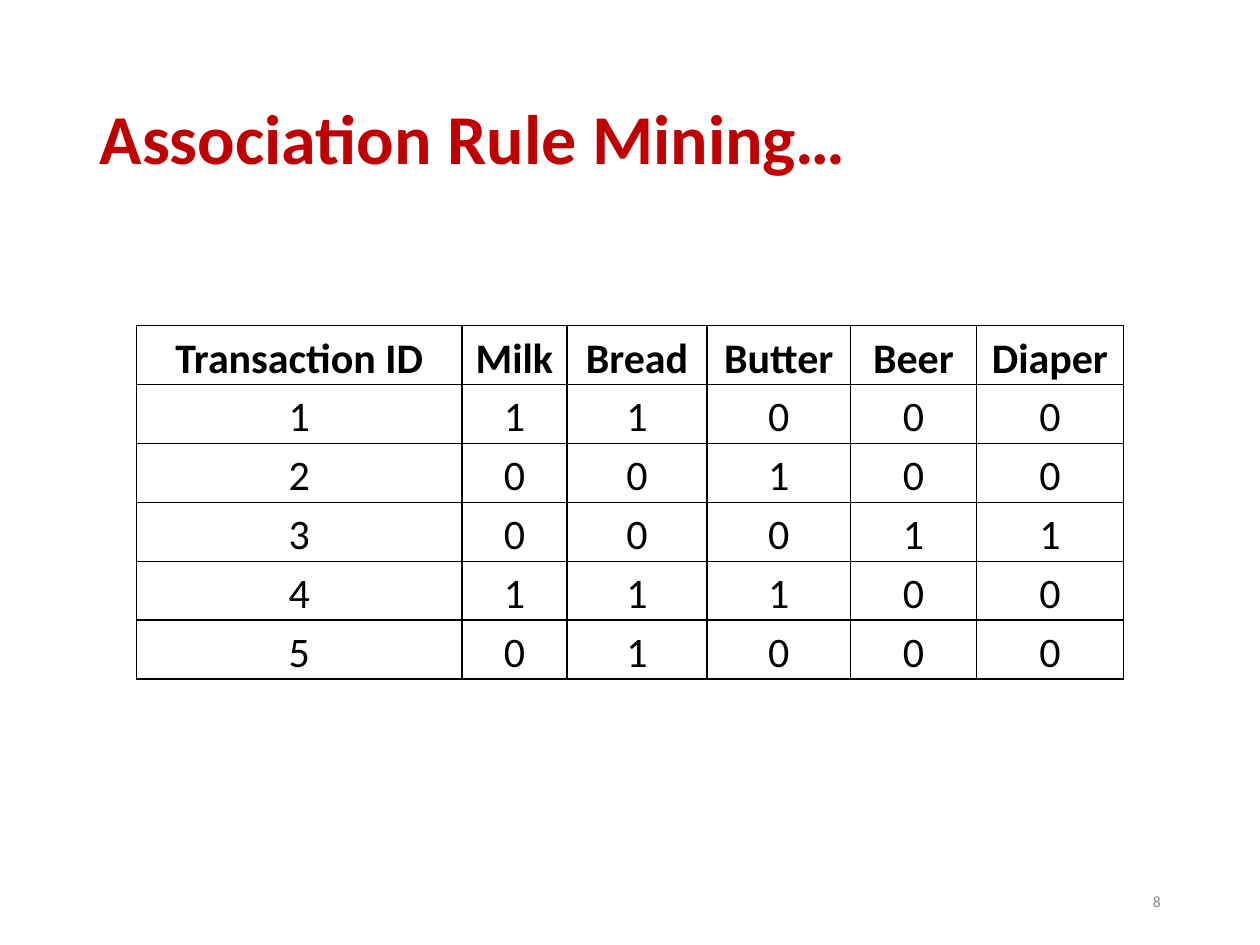
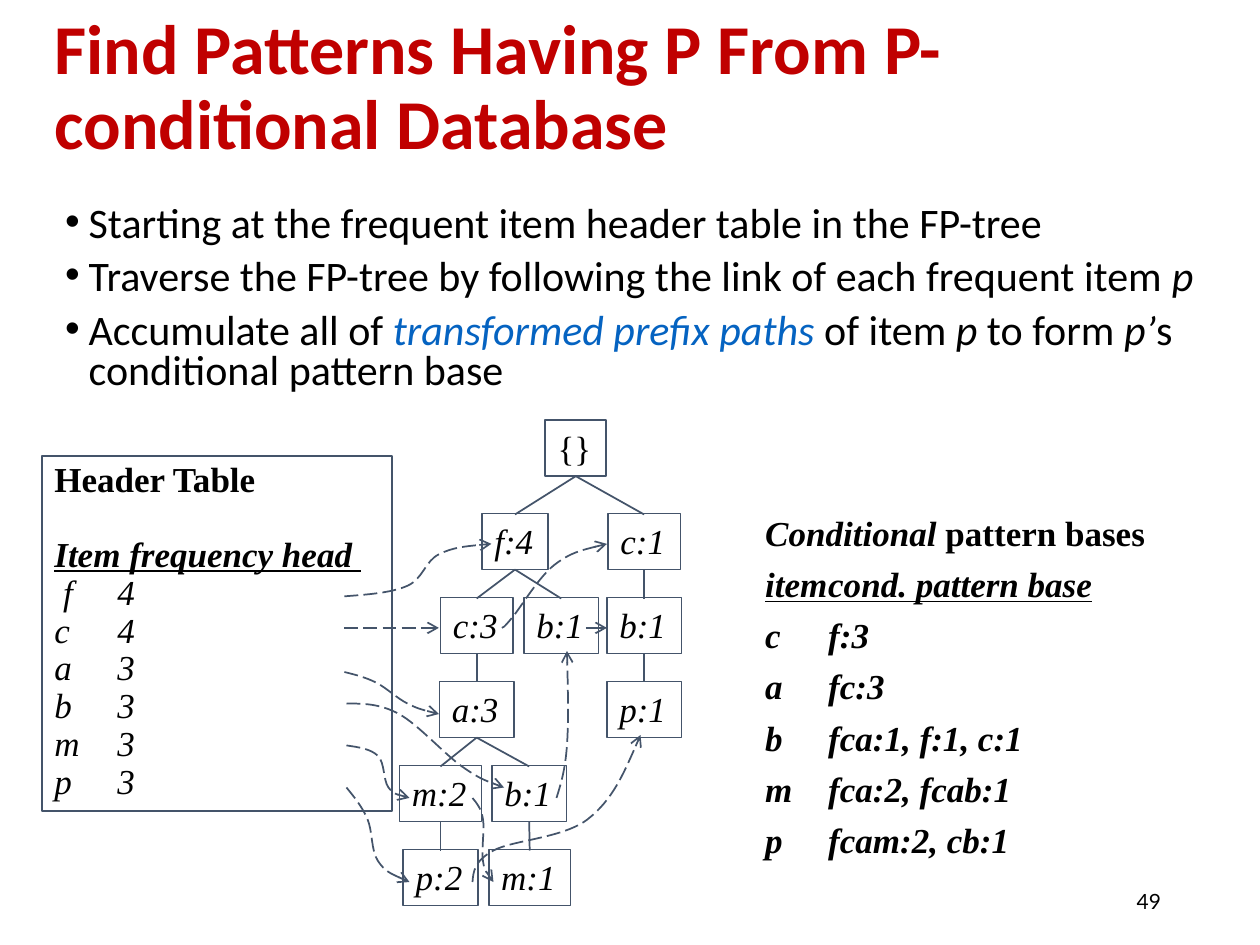
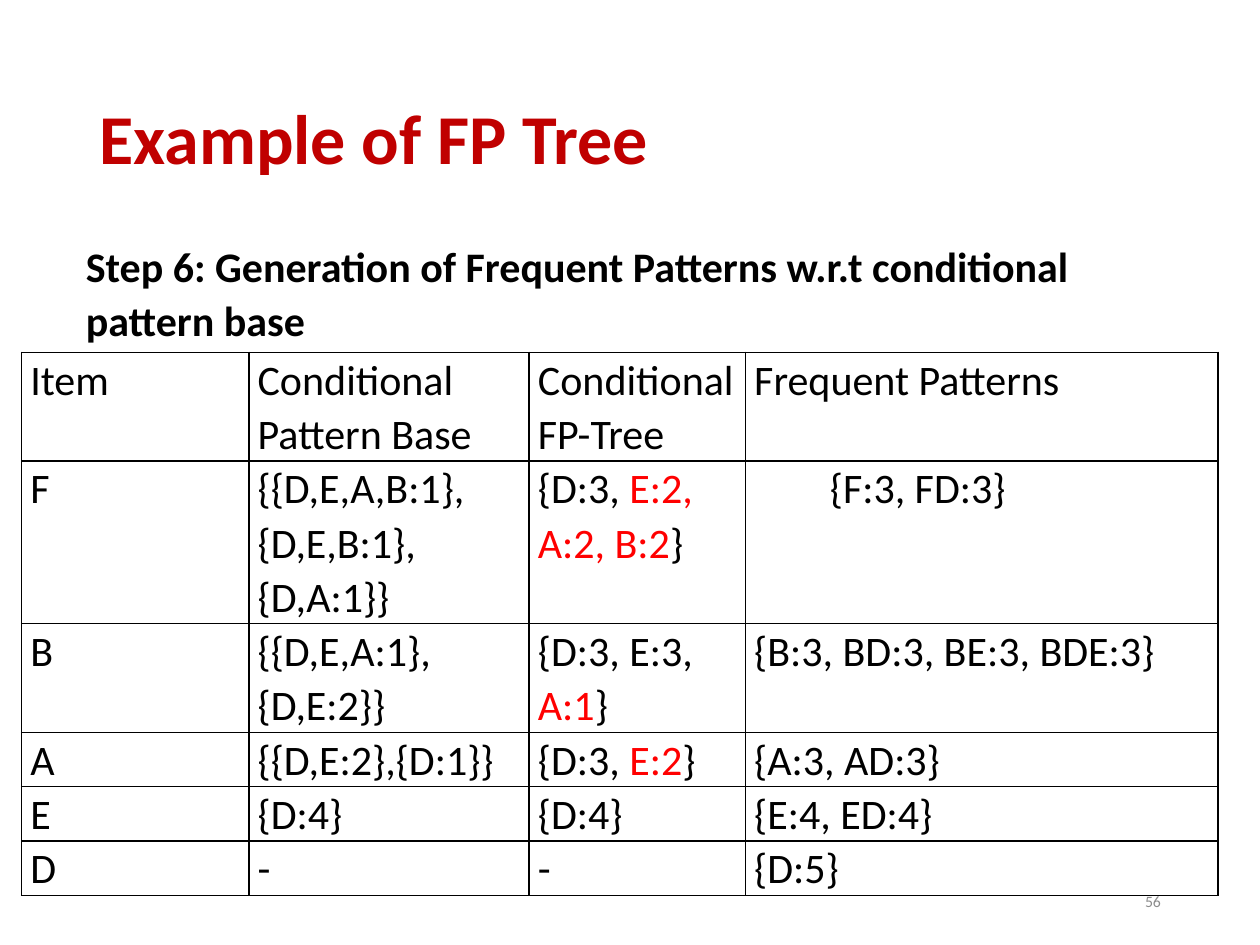
from dataclasses import dataclass
from typing import Optional

from lxml import etree
from pptx import Presentation
from pptx.dml.color import RGBColor
from pptx.enum.dml import MSO_LINE
from pptx.enum.shapes import MSO_CONNECTOR, MSO_SHAPE
from pptx.enum.text import MSO_ANCHOR, MSO_AUTO_SIZE, PP_ALIGN
from pptx.oxml.ns import qn
from pptx.util import Inches, Pt

LEFT, CENTER, RIGHT = PP_ALIGN.LEFT, PP_ALIGN.CENTER, PP_ALIGN.RIGHT
TOP, MIDDLE = MSO_ANCHOR.TOP, MSO_ANCHOR.MIDDLE
NO_AUTOFIT = MSO_AUTO_SIZE.NONE
RECTANGLE = MSO_SHAPE.RECTANGLE
STRAIGHT = MSO_CONNECTOR.STRAIGHT
LONG_DASH = MSO_LINE.LONG_DASH

SLIDE_WIDTH, SLIDE_HEIGHT = Inches(10), Inches(7.5)
GRID_COLUMNS = 120
CONTENT_LAYOUT, TITLE_LAYOUT = 1, 5


@dataclass(frozen=True)
class Theme:
    title: str = "C00000"
    text: str = "000000"
    muted: str = "8C8C8C"
    link: str = "0563C1"
    removed: str = "FF0000"
    outline: str = "44546A"
    sans: str = "Calibri"
    serif: str = "Times New Roman"
    number: str = "Lato"
    title_size: float = 40
    body_size: float = 24
    tree_size: float = 20
    number_size: float = 12
    small_number_size: float = 9
    line_width: float = 1


THEME = Theme()


@dataclass(frozen=True)
class Frame:
    left: float
    top: float
    width: float
    height: float

    def lengths(self) -> tuple:
        return tuple(grid(v) for v in (self.left, self.top, self.width, self.height))


@dataclass(frozen=True)
class Style:
    font: str = THEME.sans
    size: float = THEME.body_size
    color: str = THEME.text
    bold: bool = False
    italic: bool = False


@dataclass(frozen=True)
class Span:
    text: str
    bold: Optional[bool] = None
    italic: Optional[bool] = None
    underline: bool = False
    color: Optional[str] = None


@dataclass(frozen=True)
class Layout:
    align: object = LEFT
    line_spacing: float = 1.0
    before: float = 0
    after: float = 0
    margin: float = 0
    hanging: float = 0
    tab: float = 0


@dataclass(frozen=True)
class Node:
    label: str
    center: float
    top: float
    parent: Optional[int] = None


@dataclass(frozen=True)
class TableSpec:
    left: float
    top: float
    columns: tuple
    row_height: float
    layout: Layout
    bold_header: bool = False


TITLE_STYLE = Style(size=THEME.title_size, color=THEME.title, bold=True)
BODY_STYLE = Style()
MUTED_NUMBER = Style(size=THEME.small_number_size, color=THEME.muted)
DARK_NUMBER = Style(font=THEME.number, size=THEME.number_size)
TREE_STYLE = Style(font=THEME.serif, size=THEME.tree_size)

TITLE_FRAME = Frame(8.3, 4.8, 103.4, 17.4)
HIGH_TITLE_FRAME = Frame(4, 4, 112, 9)
BODY_FRAME = Frame(5, 19, 110, 20)
NUMBER_FRAME = Frame(84.75, 83.4, 27, 4.8)
HEADER_TABLE_FRAME = Frame(4, 43.4, 33.35, 33.85)
PATTERN_FRAME = Frame(71.7, 48.1, 43.7, 36.5)
STEP_FRAME = Frame(7, 22, 109, 11.6)
TAB_STOP = 12

LEVEL_TOPS = (40,) + tuple(48.9 + 8 * level for level in range(5))
NODE_HEIGHT = 5.35
NODE_WIDTHS = {"{": 5.8, "f": 6.3, "c": 6.9, "a": 7.1, "b": 7.1, "p": 7.1, "m": 7.8}
NODES = (
    Node("{}", 54.84, LEVEL_TOPS[0]),
    Node("f:4", 49.05, LEVEL_TOPS[1], 0),
    Node("c:1", 61.35, LEVEL_TOPS[1], 0),
    Node("c:3", 45.4, LEVEL_TOPS[2], 1),
    Node("b:1", 53.45, LEVEL_TOPS[2], 1),
    Node("b:1", 61.35, LEVEL_TOPS[2], 2),
    Node("a:3", 45.4, LEVEL_TOPS[3], 3),
    Node("p:1", 61.35, LEVEL_TOPS[3], 5),
    Node("m:2", 41.95, LEVEL_TOPS[4], 6),
    Node("b:1", 50.4, LEVEL_TOPS[4], 6),
    Node("p:2", 41.95, LEVEL_TOPS[5], 8),
    Node("m:1", 50.45, LEVEL_TOPS[5], 9),
)
NODE_LINKS = (
    ((32.8, 56.8), (38.8, 55.8), (41.8, 52.8), (46.8, 51.8)),
    ((32.8, 59.8), (41.8, 59.8)),
    ((47.8, 59.8), (48.8, 58.8), (52.8, 53.8), (57.8, 51.8)),
    ((32.8, 64), (35.8, 65), (38.8, 67), (41.8, 68)),
    ((33, 67), (38, 68), (44, 73), (48, 75)),
    ((53, 76), (54, 71), (54, 62)),
    ((55.8, 59.8), (57.8, 59.8)),
    ((33, 71), (36, 72), (37, 75), (39, 76)),
    ((45, 76), (46, 78), (46, 82), (47, 84)),
    ((33, 75), (35, 78), (36, 82), (39, 84)),
    ((45, 84), (47, 81), (56, 78), (61, 70)),
)


def grid(units: float) -> int:
    return round(SLIDE_WIDTH * units / GRID_COLUMNS)


def add_span(paragraph, span: Span, style: Style) -> None:
    run = paragraph.add_run()
    run.text = span.text
    font = run.font
    font.name = style.font
    font.size = Pt(style.size)
    font.bold = style.bold if span.bold is None else span.bold
    font.italic = style.italic if span.italic is None else span.italic
    font.underline = span.underline
    font.color.rgb = RGBColor.from_string(span.color or style.color)


def fill_paragraph(paragraph, spans: tuple, style: Style, layout: Layout) -> None:
    properties = paragraph._p.get_or_add_pPr()
    properties.set("marL", str(grid(layout.margin)))
    properties.set("indent", str(-grid(layout.hanging)))
    if layout.tab:
        stops = etree.SubElement(properties, qn("a:tabLst"))
        etree.SubElement(stops, qn("a:tab"), pos=str(grid(layout.tab)), algn="l")
    paragraph.alignment = layout.align
    paragraph.line_spacing = layout.line_spacing
    paragraph.space_before = Pt(layout.before)
    paragraph.space_after = Pt(layout.after)
    for span in spans:
        add_span(paragraph, span, style)


def fill_frame(text_frame, paragraphs: list, style: Style, anchor=TOP, wrap: bool = True) -> None:
    text_frame.word_wrap = wrap
    text_frame.auto_size = NO_AUTOFIT
    text_frame.vertical_anchor = anchor
    for index, (spans, layout) in enumerate(paragraphs):
        paragraph = text_frame.add_paragraph() if index else text_frame.paragraphs[0]
        fill_paragraph(paragraph, spans, style, layout)


def place(shape, frame: Frame) -> None:
    shape.left, shape.top, shape.width, shape.height = frame.lengths()


def add_text(slide, frame: Frame, paragraphs: list, style: Style, anchor=TOP) -> None:
    shape = slide.shapes.add_textbox(*frame.lengths())
    fill_frame(shape.text_frame, paragraphs, style, anchor)


def add_titled_slide(presentation, layout_index: int, title: str, number: str,
                     frame: Frame = TITLE_FRAME, number_style: Style = MUTED_NUMBER):
    slide = presentation.slides.add_slide(presentation.slide_layouts[layout_index])
    place(slide.shapes.title, frame)
    fill_frame(slide.shapes.title.text_frame, [((Span(title),), Layout(line_spacing=0.9))],
               TITLE_STYLE, MIDDLE)
    add_text(slide, NUMBER_FRAME, [((Span(number),), Layout(align=RIGHT))], number_style, MIDDLE)
    return slide


def outline_cell(cell) -> None:
    properties = cell._tc.get_or_add_tcPr()
    for side in ("a:lnL", "a:lnR", "a:lnT", "a:lnB"):
        border = etree.SubElement(properties, qn(side), w=str(Pt(THEME.line_width)))
        fill = etree.SubElement(border, qn("a:solidFill"))
        etree.SubElement(fill, qn("a:srgbClr"), val=THEME.text)
    cell.fill.background()


def add_grid_table(slide, spec: TableSpec, rows: list) -> None:
    frame = Frame(spec.left, spec.top, sum(spec.columns), spec.row_height * len(rows))
    table = slide.shapes.add_table(len(rows), len(spec.columns), *frame.lengths()).table
    table.first_row = table.horz_banding = False
    for column, width in zip(table.columns, spec.columns):
        column.width = grid(width)
    for row_index, row in enumerate(rows):
        style = Style(bold=spec.bold_header and row_index == 0)
        for column_index, content in enumerate(row):
            cell = table.cell(row_index, column_index)
            outline_cell(cell)
            cell.margin_left = cell.margin_right = Inches(0.07)
            cell.margin_top = cell.margin_bottom = 0
            spans, layout = content if isinstance(content, tuple) else ((Span(content),), spec.layout)
            fill_paragraph(cell.text_frame.paragraphs[0], spans, style, layout)


def style_line(shape) -> None:
    shape.line.color.rgb = RGBColor.from_string(THEME.outline)
    shape.line.width = Pt(THEME.line_width)


def add_box(group, frame: Frame, paragraphs: list, wrap: bool = False) -> None:
    shape = group.shapes.add_shape(RECTANGLE, *frame.lengths())
    shape.shadow.inherit = False
    shape.fill.background()
    style_line(shape)
    fill_frame(shape.text_frame, paragraphs, TREE_STYLE, wrap=wrap)


def add_line(group, start: tuple, end: tuple):
    connector = group.shapes.add_connector(STRAIGHT, *(grid(v) for v in start + end))
    style_line(connector)
    etree.SubElement(connector.element.spPr, qn("a:effectLst"))
    return connector


def curve_points(knots: tuple) -> list:
    last = len(knots) - 1
    tangents = [tuple((b - a) / 6 for a, b in zip(knots[i - 1], knots[i + 1]))
                for i in range(1, last)]
    points = [knots[0]]
    for i in range(last):
        start, end = knots[i], knots[i + 1]
        leave = tuple(p + t for p, t in zip(start, tangents[i - 1])) if i else None
        arrive = tuple(p - t for p, t in zip(end, tangents[i])) if i + 1 < last else None
        leave = leave or tuple((p + q) / 2 for p, q in zip(start, arrive))
        arrive = arrive or tuple((p + q) / 2 for p, q in zip(leave, end))
        points += [leave, arrive, end]
    return points


def add_curve(group, knots: tuple):
    points = [tuple(grid(v) for v in point) for point in curve_points(knots)]
    builder = group.shapes.build_freeform(*points[0])
    builder.add_line_segments(points[1:], close=False)
    shape = builder.convert_to_shape()
    outline = next(shape.element.iter(qn("a:path")))
    segments = outline.findall(qn("a:lnTo"))
    for index, segment in enumerate(segments):
        if index % 3 == 0:
            curve = etree.SubElement(outline, qn("a:cubicBezTo"))
        curve.append(segment[0])
        outline.remove(segment)
    shape.shadow.inherit = False
    shape.fill.background()
    style_line(shape)
    return shape


def add_node_link(group, knots: tuple) -> None:
    shape = add_line(group, *knots) if len(knots) == 2 else add_curve(group, knots)
    shape.line.dash_style = LONG_DASH
    etree.SubElement(shape.element.spPr.find(qn("a:ln")), qn("a:tailEnd"), type="arrow")


def add_tree(group) -> None:
    for node in NODES:
        width = NODE_WIDTHS[node.label[0]]
        frame = Frame(node.center - width / 2, node.top, width, NODE_HEIGHT)
        add_box(group, frame, [((Span(node.label, italic=node.parent is not None),), Layout())])
        if node.parent is not None:
            parent = NODES[node.parent]
            add_line(group, (parent.center, parent.top + NODE_HEIGHT),
                     (node.center, node.top + 0.1))


def add_header_table(group) -> None:
    line = Layout(line_spacing=0.9, tab=TAB_STOP)
    heading = Span("Item frequency head ", bold=True, italic=True, underline=True)
    paragraphs = [((Span("Header Table", bold=True),), line),
                  ((heading,), Layout(line_spacing=0.9, before=21.5))]
    for text in (" f\t4", "c\t4", "a\t3", "b\t3", "m\t3", "p\t3"):
        paragraphs.append(((Span(text, italic=True),), line))
    add_box(group, HEADER_TABLE_FRAME, paragraphs, wrap=True)


def add_pattern_bases(slide) -> None:
    line = Layout(line_spacing=0.8, before=10, tab=TAB_STOP)
    heading = (Span("item", italic=True, underline=True), Span("\t", italic=True),
               Span("cond. pattern base", italic=True, underline=True))
    paragraphs = [((Span("Conditional ", italic=True), Span("pattern bases")), Layout()),
                  (heading, line)]
    for text in ("c\tf:3", "a\tfc:3", "b\tfca:1, f:1, c:1", "m\tfca:2, fcab:1", "p\tfcam:2, cb:1"):
        paragraphs.append(((Span(text, italic=True),), line))
    add_text(slide, PATTERN_FRAME, paragraphs, Style(THEME.serif, THEME.tree_size, bold=True))


def build_transactions(presentation) -> None:
    slide = add_titled_slide(presentation, TITLE_LAYOUT, "Association Rule Mining…", "8")
    spec = TableSpec(13, 31, (31, 10, 13.35, 13.65, 12, 14), 4.8,
                     Layout(align=CENTER, line_spacing=1.15), bold_header=True)
    purchases = ("11000", "00100", "00011", "11100", "01000")
    rows = [["Transaction ID", "Milk", "Bread", "Butter", "Beer", "Diaper"]]
    rows += [[str(number), *flags] for number, flags in enumerate(purchases, 1)]
    add_grid_table(slide, spec, rows)


def build_conditional_database(presentation) -> None:
    slide = add_titled_slide(presentation, CONTENT_LAYOUT,
                             "Find Patterns Having P From P-conditional Database", "49",
                             HIGH_TITLE_FRAME, DARK_NUMBER)
    steps = (
        (Span("Starting at the frequent item header table in the FP-tree"),),
        (Span("Traverse the FP-tree by following the link of each frequent item "),
         Span("p", italic=True)),
        (Span("Accumulate all of "),
         Span("transformed prefix paths", italic=True, color=THEME.link),
         Span(" of item "), Span("p ", italic=True), Span("to form "),
         Span("p’", italic=True), Span("s conditional pattern base")),
    )
    body = slide.placeholders[1]
    place(body, BODY_FRAME)
    fill_frame(body.text_frame,
               [(spans, Layout(line_spacing=0.8, before=7.5 if index else 0,
                               margin=2.25, hanging=2.25))
                for index, spans in enumerate(steps)], BODY_STYLE)
    add_pattern_bases(slide)
    group = slide.shapes.add_group_shape()
    add_tree(group)
    add_header_table(group)
    for knots in NODE_LINKS:
        add_node_link(group, knots)


def build_frequent_patterns(presentation) -> None:
    slide = add_titled_slide(presentation, TITLE_LAYOUT, "Example of FP Tree", "56")
    step = "Step 6: Generation of Frequent Patterns w.r.t conditional pattern base"
    add_text(slide, STEP_FRAME, [((Span(step),), Layout(line_spacing=1.07, after=8))],
             Style(bold=True))
    line = Layout(line_spacing=1.06)

    def pruned(kept: str, removed: str) -> tuple:
        return (Span(kept), Span(removed, color=THEME.removed), Span("}")), line

    rows = [
        ["Item", "Conditional Pattern Base", "Conditional FP-Tree", "Frequent Patterns"],
        ["F", "{{D,E,A,B:1},{D,E,B:1},{D,A:1}}", pruned("{D:3, ", "E:2, A:2, B:2"),
         ((Span("{F:3, FD:3}"),), Layout(line_spacing=1.06, margin=7.2))],
        ["B", "{{D,E,A:1},{D,E:2}}", pruned("{D:3, E:3, ", "A:1"), "{B:3, BD:3, BE:3, BDE:3}"],
        ["A", "{{D,E:2},{D:1}}", pruned("{D:3, ", "E:2"), "{A:3, AD:3}"],
        ["E", "{D:4}", "{D:4}", "{E:4, ED:4}"],
        ["D", "-", "-", "{D:5}"],
    ]
    add_grid_table(slide, TableSpec(2.05, 33.55, (21.65, 26.7, 20.6, 45), 2.3, line), rows)


def main() -> None:
    presentation = Presentation()
    presentation.slide_width, presentation.slide_height = SLIDE_WIDTH, SLIDE_HEIGHT
    build_transactions(presentation)
    build_conditional_database(presentation)
    build_frequent_patterns(presentation)
    presentation.save("out.pptx")


if __name__ == "__main__":
    main()
